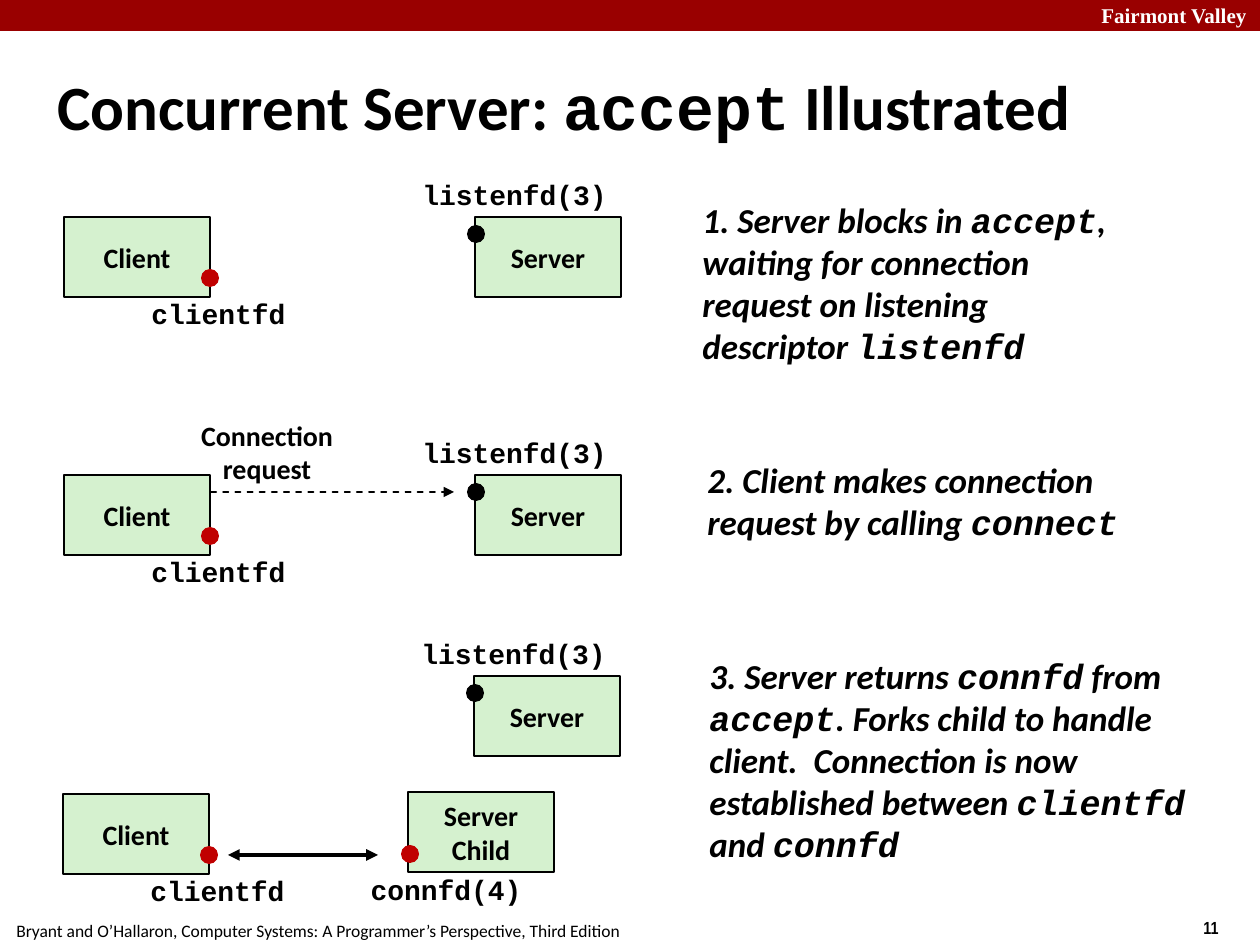
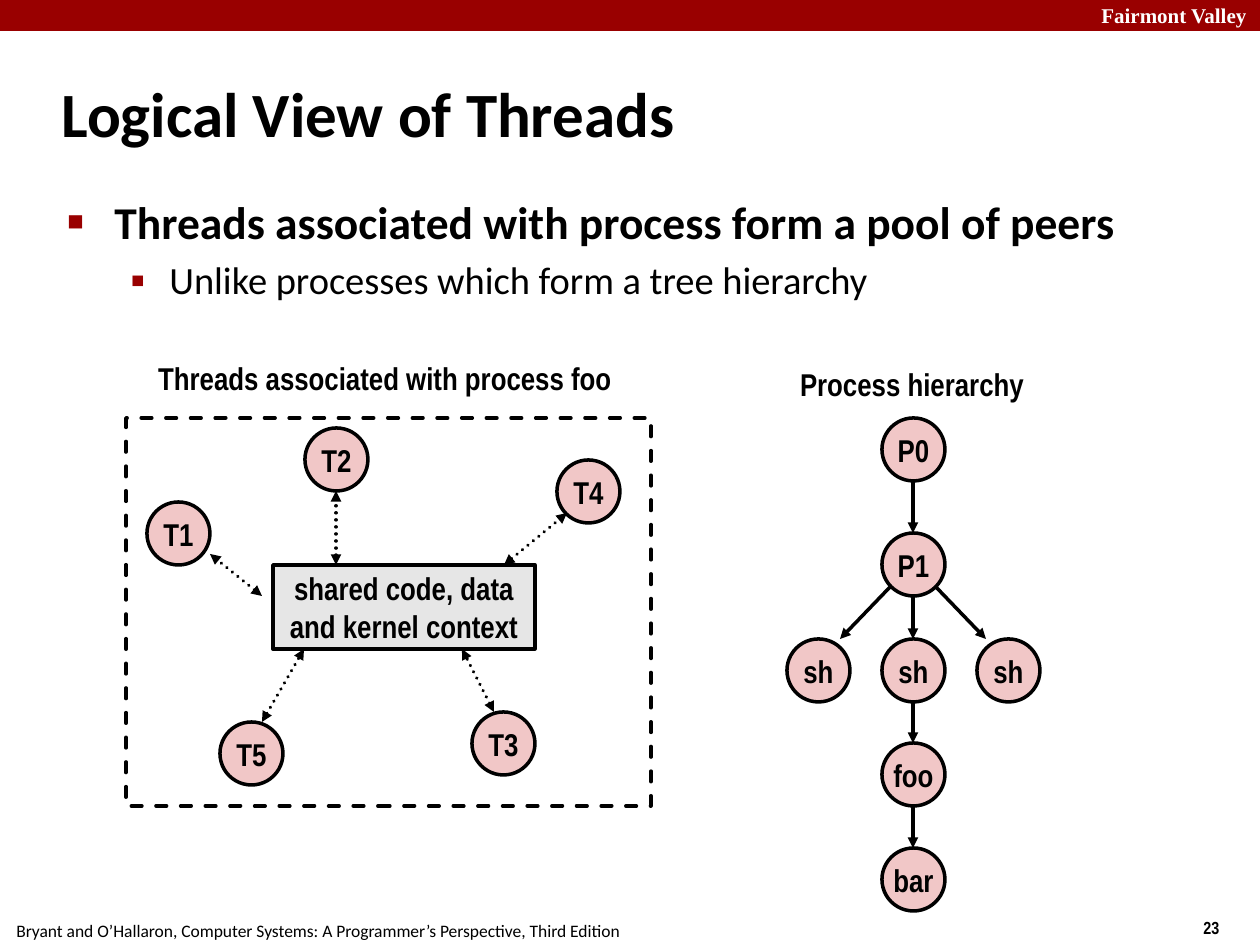
"""Builds two lecture slides: accept in a concurrent server, and threads versus processes."""
from lxml.etree import SubElement
from pptx import Presentation
from pptx.dml.color import RGBColor
from pptx.enum.dml import MSO_LINE as Dash
from pptx.enum.shapes import MSO_CONNECTOR as Link, MSO_SHAPE as Preset
from pptx.enum.text import MSO_ANCHOR as Anchor, PP_ALIGN as Align
from pptx.oxml.ns import qn
from pptx.util import Pt

EMU_PER_PX = 914400 / 126
COLORS = {
    "band": "990000", "ink": "000000", "paper": "FFFFFF", "process": "D5F1CF",
    "connected": "C00000", "node": "F1C7C7", "context": "E6E6E6",
}
SANS, MONO, NARROW, SERIF = "Calibri", "Courier New", "Arial Narrow", "Times New Roman"
NODE = 63
DOT = 18
CREDIT = "Bryant and O’Hallaron, Computer Systems: A Programmer’s Perspective, Third Edition"
DESCRIPTORS = {
    "clientfd": {"dot": (137, 52), "label": (75, 73, 159), "color": "connected"},
    "listenfd(3)": {"dot": (-8, 8), "label": (-65, -46, 209), "color": "ink"},
    "connfd(4)": {"dot": (-7, 53), "label": (-50, 74, 176), "color": "connected"},
}


def px(*lengths):
    """Turn pixel lengths into EMU."""
    return [round(length * EMU_PER_PX) for length in lengths]


def rgb(name):
    """Look up a named colour."""
    return RGBColor.from_string(COLORS[name])


def write(holder, text, size, font=SANS, bold=True, italic=False, color="ink",
          align=Align.CENTER, anchor=Anchor.MIDDLE, wrap=False):
    """Fill a shape with lines of text, where backticks enclose code."""
    frame = holder.text_frame
    frame.word_wrap = wrap
    frame.vertical_anchor = anchor
    if not wrap:
        frame.margin_left = frame.margin_right = 0
    for index, line in enumerate(text.split("\n")):
        paragraph = frame.add_paragraph() if index else frame.paragraphs[0]
        paragraph.alignment = align
        style = paragraph.font
        style.name, style.size, style.bold, style.italic = font, Pt(size), bold, italic
        style.color.rgb = rgb(color)
        for part, words in enumerate(line.split("`")):
            if words:
                run = paragraph.add_run()
                run.text = words
                if part % 2:
                    run.font.name = MONO
    return frame


def add_text(slide, box, text, size, **style):
    """Add a text box."""
    return write(slide.shapes.add_textbox(*px(*box)), text, size, **style)


def draw_line(line, width, dash=None):
    """Style an outline or a connector, with round caps on dashes."""
    line.color.rgb = rgb("ink")
    line.width = Pt(width)
    if dash:
        line.dash_style = dash
        line._get_or_add_ln().set("cap", "rnd")


def add_block(slide, preset, box, fill=None, line_width=0, dash=None):
    """Add a preset shape with a plain fill and outline."""
    block = slide.shapes.add_shape(preset, *px(*box))
    block.shadow.inherit = False
    if fill:
        block.fill.solid()
        block.fill.fore_color.rgb = rgb(fill)
    else:
        block.fill.background()
    if line_width:
        draw_line(block.line, line_width, dash)
    else:
        block.line.fill.background()
    return block


def add_arrow(slide, start, end, width=2, dash=None, both=False):
    """Add a straight arrow with one or two heads."""
    arrow = slide.shapes.add_connector(Link.STRAIGHT, *px(*start, *end))
    draw_line(arrow.line, width, dash)
    properties = arrow.line._get_or_add_ln()
    for tip in ("a:headEnd", "a:tailEnd") if both else ("a:tailEnd",):
        SubElement(properties, qn(tip), type="triangle")
    SubElement(arrow._element.spPr, qn("a:effectLst"))


def add_hanging(paragraph, left, first):
    """Set the left margin and the first-line indent of a paragraph."""
    margin, indent = px(left, first)
    properties = paragraph._p.get_or_add_pPr()
    properties.set("marL", str(margin))
    properties.set("indent", str(indent))
    return properties


def add_bullet(paragraph, mark, percent, left, first, before):
    """Give a paragraph a coloured bullet and a hanging indent."""
    properties = add_hanging(paragraph, left, first)
    paragraph.space_before = Pt(before)
    default_font = properties.find(qn("a:defRPr"))
    color = SubElement(properties, qn("a:buClr"))
    SubElement(color, qn("a:srgbClr"), val=COLORS["band"])
    SubElement(properties, qn("a:buSzPct"), val=str(percent * 1000))
    SubElement(properties, qn("a:buFont"), typeface="Arial")
    SubElement(properties, qn("a:buChar"), char=mark)
    properties.append(default_font)


def add_page(deck, title, title_box, number):
    """Add a slide with the band, title and footer."""
    slide = deck.slides.add_slide(deck.slide_layouts[6])
    add_block(slide, Preset.RECTANGLE, (0, 0, 1260, 31), "band")
    edge = {"align": Align.LEFT, "anchor": Anchor.TOP, "wrap": True}
    add_text(slide, (1089, -4, 180, 38), "Fairmont Valley", 12, font=SERIF, color="paper", **edge)
    add_text(slide, (1191, 911, 94, 34), number, 10, font=NARROW, **edge)
    add_text(slide, (4, 914, 640, 34), CREDIT, 10, bold=False, **edge)
    heading = add_text(slide, title_box, title, 36, align=Align.LEFT, wrap=True)
    add_hanging(heading.paragraphs[0], 16, -16)
    return slide


def add_endpoint(slide, process, x, y, descriptor):
    """Add a process box with its descriptor dot and label."""
    look = DESCRIPTORS[descriptor]
    dot_x, dot_y = look["dot"]
    label_x, label_y, label_width = look["label"]
    box = add_block(slide, Preset.RECTANGLE, (x, y, 146, 80), "process", 1)
    write(box, process, 16)
    add_block(slide, Preset.OVAL, (x + dot_x, y + dot_y, DOT, DOT), look["color"])
    add_text(slide, (x + label_x, y + label_y, label_width, 47), descriptor, 16, font=MONO)


def add_step(slide, box, text):
    """Add the explanation of one step."""
    add_text(slide, box, text, 20, italic=True, align=Align.LEFT, wrap=True)


def add_node(slide, name, x, y):
    """Add a round thread or process node."""
    node = add_block(slide, Preset.OVAL, (x, y, NODE, NODE), "node", 2)
    write(node, name, 18, font=NARROW)


def build_accept(deck):
    """Build the slide on accept."""
    slide = add_page(deck, "Concurrent Server: `accept` Illustrated", (45, 66, 1155, 79), "11")
    for x, y in ((64, 217), (64, 475), (63, 794)):
        add_endpoint(slide, "Client", x, y, "clientfd")
    for x, y in ((475, 217), (475, 475), (474, 676)):
        add_endpoint(slide, "Server", x, y, "listenfd(3)")
    add_endpoint(slide, "Server\nChild", 408, 792, "connfd(4)")

    add_text(slide, (189, 412, 156, 80), "Connection\nrequest", 16)
    add_arrow(slide, (211, 492), (454, 492), 1, Dash.DASH)
    add_arrow(slide, (228, 855), (378, 855), 2.25, both=True)

    add_step(slide, (690, 192, 454, 180),
             "1. Server blocks in `accept`, waiting for connection request "
             "on listening descriptor `listenfd`")
    add_step(slide, (695, 452, 505, 97),
             "2. Client makes connection request by calling `connect`")
    add_step(slide, (697, 648, 553, 223),
             "3. Server returns `connfd` from `accept`. Forks child to handle client.  "
             "Connection is now established between `clientfd` and `connfd`")


def build_threads(deck):
    """Build the slide on threads and the process hierarchy."""
    slide = add_page(deck, "Logical View of Threads", (49, 60, 1046, 105), "23")
    points = add_text(slide, (54, 188, 1089, 685),
                      "Threads associated with process form a pool of peers\n"
                      "Unlike processes which form a tree hierarchy",
                      26, align=Align.LEFT, anchor=Anchor.TOP, wrap=True)
    claim, contrast = points.paragraphs
    add_bullet(claim, "■", 60, 48, -47, 5.2)
    contrast.level = 1
    contrast.font.size, contrast.font.bold = Pt(22), False
    add_bullet(contrast, "▪", 110, 103, -39, 4.4)

    add_text(slide, (146, 353, 478, 50), "Threads associated with process foo", 18, font=NARROW)
    add_block(slide, Preset.RECTANGLE, (126, 418, 525, 388), line_width=2, dash=Dash.DASH)
    threads = {"T1": (147, 502), "T2": (305, 428), "T3": (472, 712),
               "T4": (557, 460), "T5": (220, 722)}
    for name, corner in threads.items():
        add_node(slide, name, *corner)
    context = add_block(slide, Preset.RECTANGLE, (273, 565, 262, 84), "context", 2)
    write(context, "shared code, data\nand kernel context", 18, font=NARROW)
    accesses = (((262, 596), (210, 554)), ((336, 565), (336, 491)), ((494, 712), (462, 649)),
                ((504, 565), (567, 513)), ((262, 722), (304, 649)))
    for start, end in accesses:
        add_arrow(slide, start, end, dash=Dash.ROUND_DOT, both=True)

    add_text(slide, (788, 359, 248, 50), "Process hierarchy", 18, font=NARROW)
    trunk, center, reach = 882, 913, 95
    lineage = {"P0": 418, "P1": 533, "sh": 639, "foo": 743, "bar": 848}
    for name, top in lineage.items():
        add_node(slide, name, trunk, top)
    tops = list(lineage.values())
    for parent, child in zip(tops, tops[1:]):
        add_arrow(slide, (center, parent + NODE), (center, child))
    for side in (-1, 1):
        add_node(slide, "sh", trunk + side * reach, lineage["sh"])
        add_arrow(slide, (center + side * 22, 586), (center + side * 73, lineage["sh"]))


def main():
    """Build and save the deck."""
    deck = Presentation()
    deck.slide_width, deck.slide_height = px(1260, 945)
    build_accept(deck)
    build_threads(deck)
    deck.save("out.pptx")


if __name__ == "__main__":
    main()
